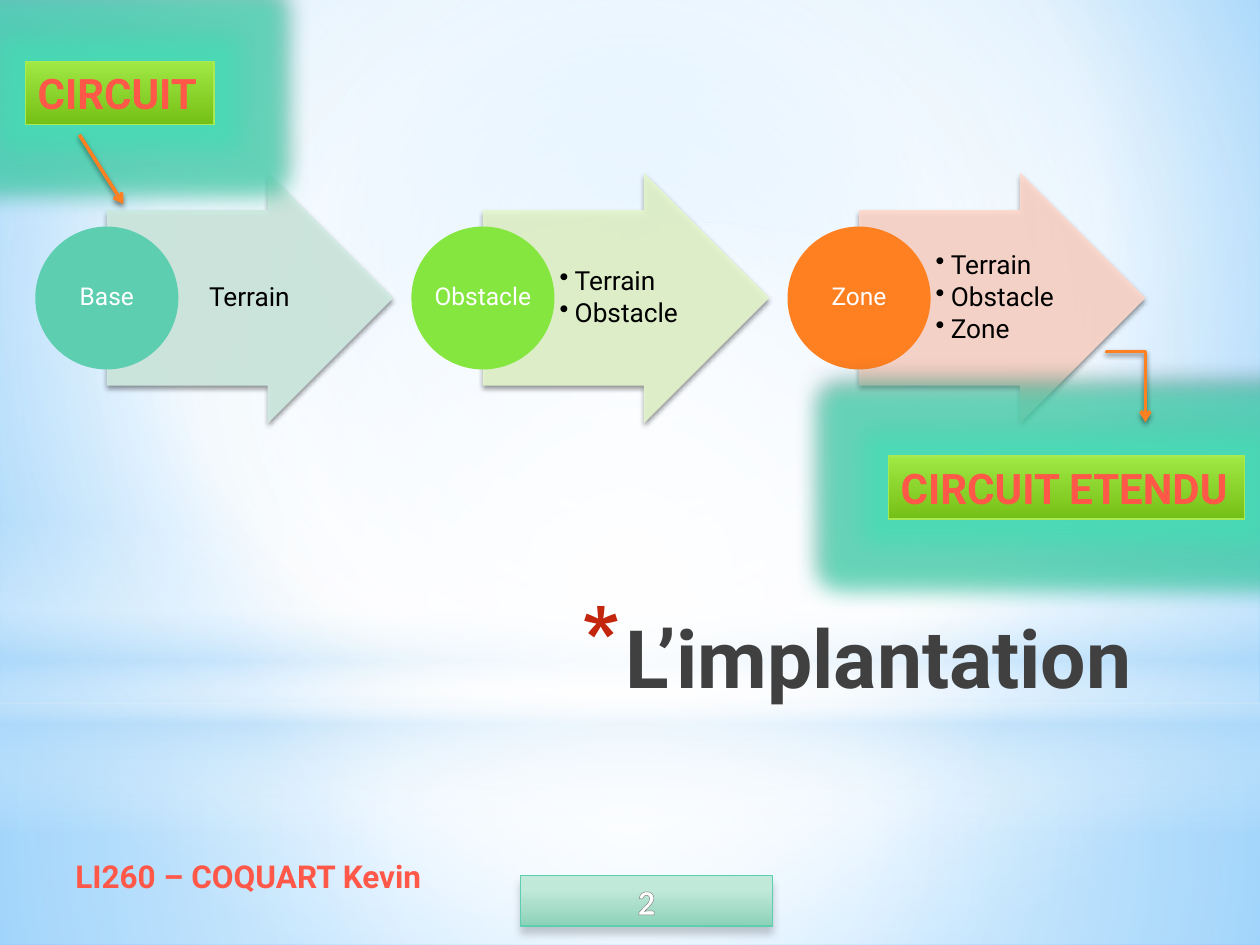
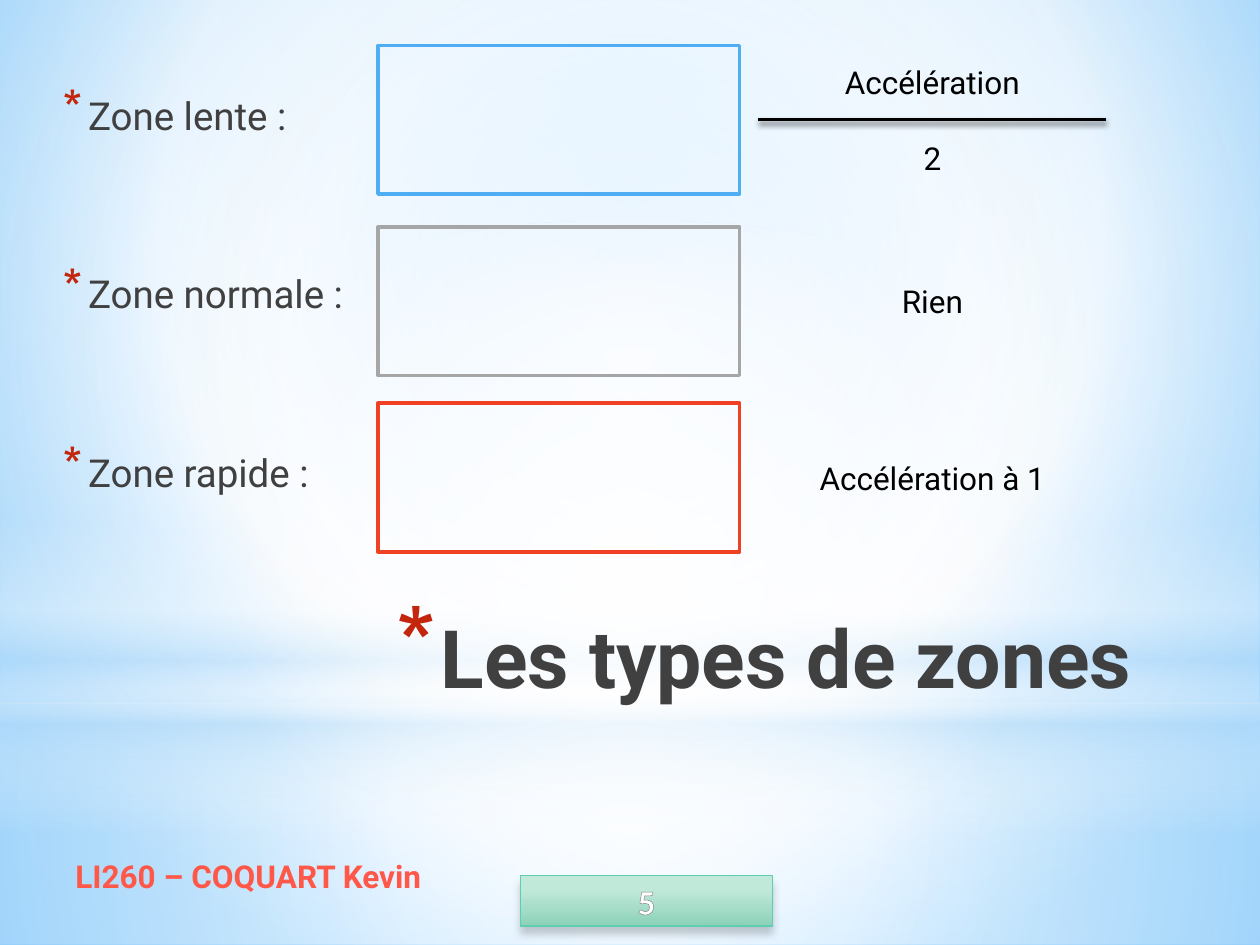
from dataclasses import dataclass

from lxml import etree
from pptx import Presentation
from pptx.dml.color import RGBColor as Rgb
from pptx.enum.shapes import MSO_CONNECTOR as Link, MSO_SHAPE as Form
from pptx.enum.text import MSO_ANCHOR as Anchor, MSO_AUTO_SIZE as Fit, PP_ALIGN as Align
from pptx.oxml import parse_xml
from pptx.oxml.ns import nsdecls, qn
from pptx.util import Inches, Pt

COLS, ROWS = 100, 75
UNIT = Inches(10) // COLS


@dataclass(frozen=True)
class Theme:
    """Colours, gradients, shadows and type sizes of the deck."""
    font: str = "Roboto"
    digit: str = "Calibri"
    head: int = 46
    label: int = 24
    item: int = 22
    page: int = 20
    body: int = 18
    step: int = 15
    disc: int = 14
    ink: str = "000000"
    gray: str = "404040"
    white: str = "FFFFFF"
    star: str = "C3260C"
    mint: str = "5DCEAF"
    lime: str = "A7EA52"
    orange: str = "FF8021"
    glow: str = "45E0B8"
    edge: str = "7D7D7D"
    sky: tuple = ((0, "9ED5FF"), (60, "FFFFFF"), (100, "5BB9FF"))
    floor: tuple = ((0, "FFFFFF", 91), (37, "FFFFFF", 76), (100, "B4DCFA", 79))
    wall: tuple = ((0, "FFFFFF", 89), (48, "FFFFFF", 62), (100, "B4DCFA", 79))
    haze: tuple = ((0, "FFFFFF", 0), (29, "FFFFFF", 30), (45, "B4DCFA", 40),
                   (55, "FFFFFF", 26), (65, "B4DCFA", 60), (100, "FFFFFF", 0))
    shine: tuple = ((0, "FFFFFF"), (56, "FFFFFF", 0))
    dark: tuple = ((0, "000000"), (40, "404040"), (100, "212745", 65))
    red: tuple = ((0, "FF6155"), (25, "FF5748"), (50, "EF3718"),
                  (75, "FF5748"), (100, "FF6155"))
    leaf: tuple = ((0, "A0E844"), (100, "75C016"))
    tab: tuple = ((28, "C0E9DA"), (100, "8CD1B8"))
    steel: tuple = ((0, "FFFFFF"), (9, "FFFFFF"), (50, "7F7F7F"),
                    (79, "FFFFFF"), (100, "FFFFFF"))
    drop: tuple = ("000000", 45, 3.1, 1.8, 90)
    lift: tuple = ("000000", 40, 4, 3, 270)
    soft: tuple = ("000000", 20, 5, 4, 90)


T = Theme()
MID = (50, 50, 50, 50)


@dataclass(frozen=True)
class Box:
    """A region in grid columns and rows."""
    x: float
    y: float
    w: float
    h: float

    def cut(self, x, y, w, h):
        """Return a part given as shares of this box."""
        return Box(self.x + x * self.w, self.y + y * self.h, w * self.w, h * self.h)

    def emu(self):
        """Return left, top, width and height as lengths."""
        return [round(v * UNIT) for v in (self.x, self.y, self.w, self.h)]


PAGE = Box(0, 0, COLS, ROWS)


def apply(obj, **form):
    """Set each format value on the object."""
    for key, val in form.items():
        setattr(obj, key, val)


def tint(hue, alpha=100):
    """Return the XML of one colour."""
    return f'<a:srgbClr val="{hue}"><a:alpha val="{alpha * 1000}"/></a:srgbClr>'


def paint(fill, mid=None):
    """Return a solid, linear or (given its centre) circular fill."""
    if isinstance(fill, str):
        return parse_xml(f'<a:solidFill {nsdecls("a")}>{tint(fill)}</a:solidFill>')
    stops = "".join(f'<a:gs pos="{at * 1000}">{tint(*hue)}</a:gs>' for at, *hue in fill)
    way = '<a:lin ang="5400000" scaled="0"/>'
    if mid:
        sides = " ".join(f'{k}="{v * 1000}"' for k, v in zip("ltrb", mid))
        way = f'<a:path path="circle"><a:fillToRect {sides}/></a:path>'
    return parse_xml(f'<a:gradFill {nsdecls("a")} rotWithShape="1">'
                     f'<a:gsLst>{stops}</a:gsLst>{way}</a:gradFill>')


def shade(shape, cast=None, glow=0):
    """Give a shape or line its shadow and glow, or none."""
    props = shape.element.spPr
    old = props.find(qn("a:effectLst"))
    if old is None:
        old = etree.SubElement(props, qn("a:effectLst"))
    if glow:
        old.append(parse_xml(f'<a:glow {nsdecls("a")} rad="{Pt(glow)}">'
                             f'{tint(T.glow, 70)}</a:glow>'))
    if cast:
        hue, alpha, blur, dist, turn = cast
        old.append(parse_xml(
            f'<a:outerShdw {nsdecls("a")} blurRad="{Pt(blur)}" dist="{Pt(dist)}" '
            f'dir="{turn * 60000}" rotWithShape="0">{tint(hue, alpha)}</a:outerShdw>'))


def draw(slide, box, form=Form.RECTANGLE, fill=None, mid=None, line=None,
         width=.75, cast=None, glow=0):
    """Add a preset shape."""
    shape = slide.shapes.add_shape(form, *box.emu())
    shape.shadow.inherit = False
    if fill:
        shape.element.spPr.find(qn("a:prstGeom")).addnext(paint(fill, mid))
    else:
        shape.fill.background()
    if line:
        shape.line.color.rgb = Rgb.from_string(line)
        shape.line.width = Pt(width)
    else:
        shape.line.fill.background()
    shade(shape, cast, glow)
    return shape


def wire(slide, start, end, hue, kind=Link.STRAIGHT, arrow=False):
    """Add a line with a shadow between two grid points."""
    ends = [round(v * UNIT) for v in (*start, *end)]
    line = slide.shapes.add_connector(kind, *ends)
    line.line.color.rgb = Rgb.from_string(hue)
    line.line.width = Pt(2)
    if arrow:
        etree.SubElement(line.element.spPr.find(qn("a:ln")), qn("a:tailEnd"), type="arrow")
    shade(line, T.drop)
    return line


def mark(para, char, left, hang, hue=None, size=None):
    """Give a paragraph a hanging bullet; lengths in inches."""
    props = para._p.get_or_add_pPr()
    props.set("marL", str(Inches(left)))
    props.set("indent", str(-Inches(hang)))
    if hue:
        etree.SubElement(props, qn("a:buClr")).append(parse_xml(
            f'<a:srgbClr {nsdecls("a")} val="{hue}"/>'))
    if size:
        etree.SubElement(props, qn("a:buSzPct"), val=str(size * 1000))
    etree.SubElement(props, qn("a:buChar"), char=char)


def write(shape, lines, size, fill, bold=False, font=T.font, align=Align.LEFT,
          anchor=Anchor.MIDDLE, wrap=True, pad=None, **form):
    """Write one paragraph per line and return the paragraphs."""
    frame = shape.text_frame
    apply(frame, auto_size=Fit.NONE, word_wrap=wrap, vertical_anchor=anchor)
    if pad:
        sides = ("margin_left", "margin_top", "margin_right", "margin_bottom")
        apply(frame, **{side: Inches(v) for side, v in zip(sides, pad)})
    for i, line in enumerate(lines):
        para = frame.add_paragraph() if i else frame.paragraphs[0]
        apply(para, alignment=align, **form)
        run = para.add_run()
        run.text = line
        apply(run.font, size=Pt(size), bold=bold, name=font)
        run.font._element.insert(0, paint(fill))
    return frame.paragraphs


def note(slide, box, lines, size=T.body, fill=T.ink, **form):
    """Add a text box."""
    return write(slide.shapes.add_textbox(*box.emu()), lines, size, fill, **form)


def scene(master, slide):
    """Lay the sky and its light bands on the master."""
    root = master.element.cSld
    for old in root.findall(qn("p:bg")):
        root.remove(old)
    back = parse_xml(f'<p:bg {nsdecls("p", "a")}><p:bgPr><a:effectLst/></p:bgPr></p:bg>')
    back[0].insert(0, paint(T.sky, (20, 10, 20, 60)))
    root.insert(0, back)
    bands = ((Box(0, 55.8, COLS, 19.2), Form.RECTANGLE, T.floor, MID),
             (Box(0, 0, COLS, 55.8), Form.RECTANGLE, T.wall, MID),
             (Box(0, 41.2, COLS, 25), Form.RECTANGLE, T.haze, None),
             (Box(0, 17.5, COLS, 55.8), Form.OVAL, T.shine, MID))
    for at, (box, form, fill, mid) in enumerate(bands, 2):
        master.shapes.element.insert(at, draw(slide, box, form, fill, mid).element)


def title(slide, box, text):
    """Place the starred title."""
    head = slide.shapes.title
    apply(head, **dict(zip(("left", "top", "width", "height"), box.emu())))
    para, = write(head, [text], T.head, T.dark, bold=True, align=Align.RIGHT,
                  anchor=Anchor.TOP)
    mark(para, "*", .35, .35, T.star, 128)


def footer(slide, box, page):
    """Add the author line and the page tab."""
    note(slide, box.cut(0, 0, .65, .67), ["LI260 – COQUART Kevin"], T.body, T.red, bold=True)
    tab = draw(slide, box.cut(.645, .33, .355, .67), fill=T.tab, line=T.mint, cast=T.soft)
    para, = write(tab, [page], T.page, T.steel, bold=True, font=T.digit,
                  align=Align.CENTER)
    edge = parse_xml(f'<a:ln {nsdecls("a")} w="{Pt(.83)}"><a:solidFill>'
                     f'{tint(T.edge)}</a:solidFill></a:ln>')
    para.runs[0].font._element.insert(0, edge)


def step(slide, box, name, items, hue, pale):
    """Draw one stage: an arrow, its contents and a named disc."""
    arrow = draw(slide, box.cut(.2, 0, .8, 1), Form.RIGHT_ARROW, pale, cast=T.drop)
    arrow.adjustments[0] = .7
    stop = arrow.element.spPr.find(qn("a:solidFill")).find(".//" + qn("a:alpha"))
    stop.set("val", "90000")
    many = len(items) > 1
    lines = note(slide, box.cut(.4, .15, .39, .7), items, T.step,
                 align=Align.LEFT if many else Align.CENTER, pad=(.04, .01, .02, .01),
                 line_spacing=.9, space_after=Pt(2.25 if many else 0))
    if many:
        for para in lines:
            mark(para, "•", .12, .12)
    disc = draw(slide, box.cut(0, .215, .4, .57), Form.OVAL, hue)
    write(disc, [name], T.disc, T.white, align=Align.CENTER, wrap=False,
          pad=(.01,) * 4, line_spacing=.9)


def badge(slide, box, text):
    """Add a glowing label."""
    shape = draw(slide, box, fill=T.leaf, line=T.lime, cast=T.lift, glow=27)
    write(shape, [text], T.label, T.red, bold=True, anchor=Anchor.TOP, wrap=False)


def flow(slide, box):
    """Draw the stages from circuit to extended circuit."""
    steps = (("Base", ["Terrain"], T.mint, "D2EDE3"),
             ("Obstacle", ["Terrain", "Obstacle"], "86E640", "E5F7CE"),
             ("Zone", ["Terrain", "Obstacle", "Zone"], T.orange, "FFD8CC"))
    wide, gap = 28.4, (box.w - 28.4) / (len(steps) - 1)
    for i, data in enumerate(steps):
        step(slide, Box(box.x + i * gap, box.y, wide, box.h), *data)
    badge(slide, Box(2.2 - .2, 4.9, 15, 5), "CIRCUIT")
    badge(slide, Box(70.5, 36.2, 28.3, 5), "CIRCUIT ETENDU")
    bend = wire(slide, (86.6, 29.2), (92.1, 32.3), T.orange, Link.ELBOW, True)
    props = bend.element.spPr
    apply_xf = props.find(qn("a:xfrm"))
    for key, val in (("rot", "16200000"), ("flipH", "1")):
        apply_xf.set(key, val)
    guide = props.find(qn("a:prstGeom")).find(qn("a:avLst"))
    etree.SubElement(guide, qn("a:gd"), name="adj1", fmla="val -1800")
    wire(slide, (6.3, 10.7), (9.8, 16.2), T.orange, arrow=True)


def zones(slide, box):
    """List the zone types with their frames and effects."""
    rows = (("Zone lente :", 3.6, "4FADF3", ["Accélération", "2"]),
            ("Zone normale :", 18, "A6A6A6", ["Rien"]),
            ("Zone rapide :", 32, "F14124", ["Accélération à 1"]))
    names = note(slide, box, [row[0] for row in rows], T.item, T.gray,
                 anchor=Anchor.TOP, space_after=Pt(3))
    for i, para in enumerate(names):
        mark(para, "*", .25, .2, T.star, 130)
        if i:
            para.space_before = Pt(72.5)
    for _, top, hue, lines in rows:
        draw(slide, Box(30, top, 28.7, 11.8), line=hue, width=2)
        cell = Box(60.2, top, 27.6, 11.8)
        paras = note(slide, cell, lines, align=Align.CENTER)
        if len(lines) > 1:
            paras[1].space_before = Pt(22)
            mid = cell.y + cell.h / 2
            wire(slide, (cell.x + cell.w, mid), (cell.x, mid), T.ink)


def main():
    """Build and save the deck."""
    deck = Presentation()
    apply(deck, slide_width=COLS * UNIT, slide_height=ROWS * UNIT)
    pages = (("L’implantation", "2", flow, Box(2.8, 13.7, 88.1, 19.9)),
             ("Les types de zones", "5", zones, Box(3.5, 6.8, 62.2, 33.9)))
    for i, (text, page, fill, box) in enumerate(pages):
        slide = deck.slides.add_slide(deck.slide_layouts[5])
        if not i:
            scene(deck.slide_master, slide)
        title(slide, PAGE.cut(.196, .637, .712, .167), text)
        fill(slide, box)
        footer(slide, Box(5, 67.5, 56.3, 6), page)
    deck.save("out.pptx")


main()
